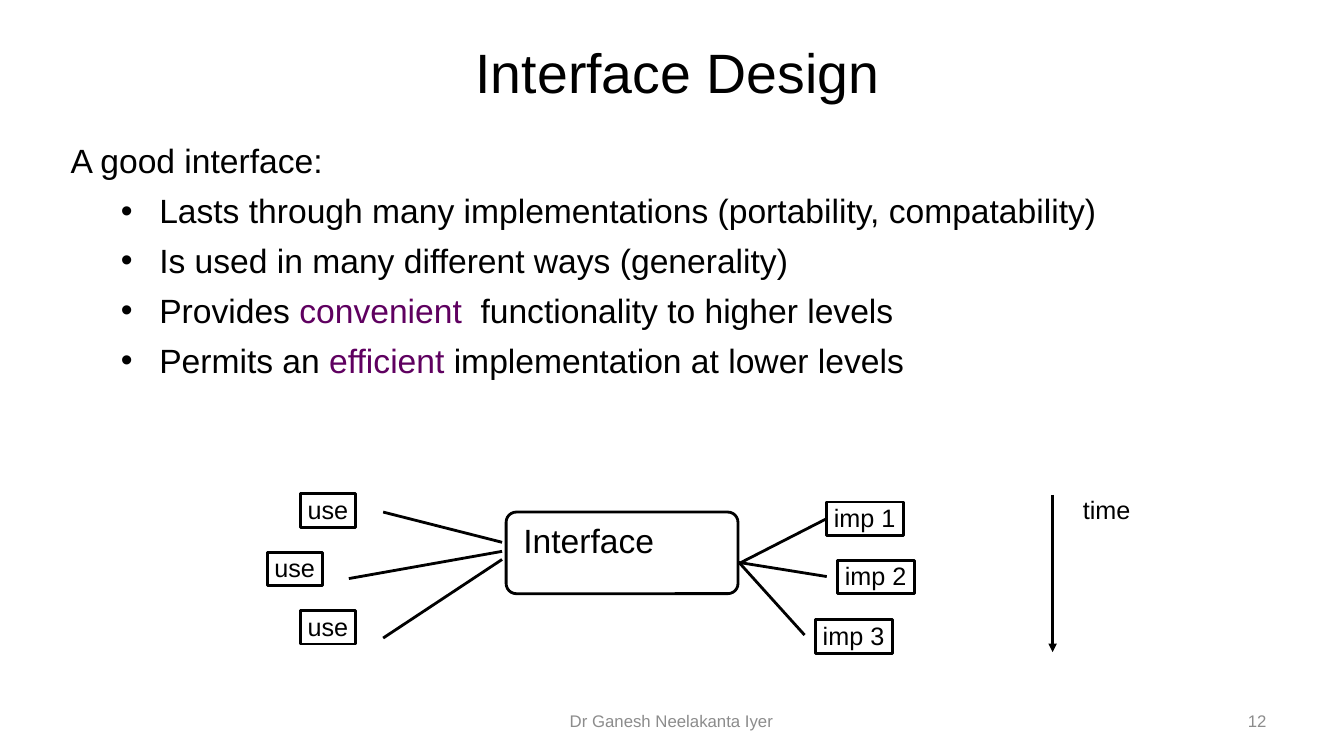
from dataclasses import dataclass
from typing import Optional

from lxml.etree import SubElement
from pptx import Presentation
from pptx.dml.color import RGBColor
from pptx.enum.shapes import MSO_CONNECTOR, MSO_SHAPE
from pptx.enum.text import MSO_ANCHOR, MSO_AUTO_SIZE, PP_ALIGN
from pptx.oxml.ns import qn
from pptx.util import Emu, Pt

PX = 9144
BLACK, PURPLE, GRAY = "000000", "5F0060", "8C8C8C"


@dataclass
class Label:
    text: str
    x: int
    y: int
    w: int
    h: int
    size: float = 18
    spacing: float = 0.92
    color: str = BLACK


@dataclass
class Line:
    x1: int
    y1: int
    x2: int
    y2: int
    target: Optional[str] = None
    arrow: bool = False


@dataclass
class Item:
    runs: list[tuple[str, str]]
    bullet: bool = True


TITLE = Label("Interface Design", 122, 50, 1100, 42, 39.6, 1)
FOOTERS = [
    (Label("12", 955, 695, 311, 40, 12, 1, GRAY), PP_ALIGN.RIGHT),
    (Label("Dr Ganesh Neelakanta Iyer", 455, 695, 422, 40, 12, 1, GRAY), PP_ALIGN.CENTER),
]
ITEMS = [
    Item([("A good interface:", BLACK)], bullet=False),
    Item([("Lasts through many implementations (portability, compatability)", BLACK)]),
    Item([("Is used in many different ways (generality)", BLACK)]),
    Item([("Provides ", BLACK), ("convenient ", PURPLE), (" functionality to higher levels", BLACK)]),
    Item([("Permits an ", BLACK), ("efficient", PURPLE), (" implementation at lower levels", BLACK)]),
]
CAPTIONS = [
    Label("Interface", 512, 518, 145, 41, 24, 0.87),
    Label("time", 1067, 492, 62, 31, 18, 0.85),
]
IMPS = [Label(f"imp {i + 1}", x, 498 + round(58.5 * i), 76, 33) for i, x in enumerate((820, 831, 809))]
USES = [Label("use", x, 490 + 58 * i, 55, 33) for i, x in enumerate((298, 265, 298))]
LINES = [
    Line(735, 558, 820, 513, target="imp 1"),
    Line(733, 558, 820, 572),
    Line(733, 558, 798, 630),
    Line(380, 508, 498, 538),
    Line(346, 574, 498, 547),
    Line(380, 633, 498, 555),
    Line(1044, 491, 1044, 647, arrow=True),
]


def px(n: int) -> Emu:
    return Emu(n * PX)


def rgb(color: str) -> RGBColor:
    return RGBColor.from_string(color)


def add_run(p, text: str, size: float, color: str) -> None:
    r = p.add_run()
    r.text = text
    r.font.name = "Arial"
    r.font.size = Pt(size)
    r.font.color.rgb = rgb(color)


def set_tight(tf) -> None:
    tf.margin_left = tf.margin_right = px(7)
    tf.margin_top = tf.margin_bottom = px(3)
    tf.vertical_anchor = MSO_ANCHOR.TOP


def outline(sp) -> None:
    sp.shadow.inherit = False
    sp.fill.background()
    sp.line.color.rgb = rgb(BLACK)
    sp.line.width = Pt(2)


def add_rect(s, kind: MSO_SHAPE, x: int, y: int, w: int, h: int):
    sp = s.shapes.add_shape(kind, px(x), px(y), px(w), px(h))
    outline(sp)
    return sp


def write(sp, label: Label, align: PP_ALIGN) -> None:
    p = sp.text_frame.paragraphs[0]
    p.alignment = align
    p.line_spacing = label.spacing
    add_run(p, label.text, label.size, label.color)


def add_centered(s, label: Label, align: PP_ALIGN) -> None:
    sp = s.shapes.add_textbox(px(label.x), px(label.y), px(label.w), px(label.h))
    sp.text_frame.word_wrap = True
    sp.text_frame.vertical_anchor = MSO_ANCHOR.MIDDLE
    write(sp, label, align)


def add_label(s, label: Label, boxed: bool):
    if boxed:
        sp = add_rect(s, MSO_SHAPE.RECTANGLE, label.x, label.y, label.w, label.h)
    else:
        sp = s.shapes.add_textbox(px(label.x), px(label.y), px(label.w), px(label.h))
    tf = sp.text_frame
    set_tight(tf)
    tf.word_wrap = False
    tf.auto_size = MSO_AUTO_SIZE.SHAPE_TO_FIT_TEXT
    write(sp, label, PP_ALIGN.LEFT)
    return sp


def add_list(s, items: list[Item]) -> None:
    tf = s.shapes.add_textbox(px(63), px(142), px(1254), px(246)).text_frame
    set_tight(tf)
    tf.word_wrap = True
    for i, item in enumerate(items):
        p = tf.add_paragraph() if i else tf.paragraphs[0]
        pPr = p._p.get_or_add_pPr()
        pPr.set("marL", str(px(88 if item.bullet else 38)))
        pPr.set("indent", str(px(-38)))
        if item.bullet:
            SubElement(pPr, qn("a:buFont")).set("typeface", "Arial")
            SubElement(pPr, qn("a:buChar")).set("char", "•")
            p.level = 1
        p.line_spacing = 0.86
        if i:
            p.space_before = Pt(10.8)
        for text, color in item.runs:
            add_run(p, text, 24, color)


def add_line(s, line: Line, boxes: dict) -> None:
    c = s.shapes.add_connector(
        MSO_CONNECTOR.STRAIGHT, px(line.x1), px(line.y1), px(line.x2), px(line.y2))
    c.line.color.rgb = rgb(BLACK)
    c.line.width = Pt(2)
    if line.arrow:
        SubElement(c.line._get_or_add_ln(), qn("a:tailEnd")).set("type", "triangle")
    SubElement(c._element.spPr, qn("a:effectLst"))
    if line.target:
        c.end_connect(boxes[line.target], 1)


def main() -> None:
    """Build the interface design slide."""
    prs = Presentation()
    prs.slide_width, prs.slide_height = px(1333), px(750)
    s = prs.slides.add_slide(prs.slide_layouts[6])
    add_centered(s, TITLE, PP_ALIGN.CENTER)
    add_list(s, ITEMS)
    frame = add_rect(s, MSO_SHAPE.ROUNDED_RECTANGLE, 502, 508, 230, 81)
    frame.adjustments[0] = 0.125
    for caption in CAPTIONS:
        add_label(s, caption, boxed=False)
    boxes = {label.text: add_label(s, label, boxed=True) for label in IMPS + USES}
    for line in LINES:
        add_line(s, line, boxes)
    for footer, align in FOOTERS:
        add_centered(s, footer, align)
    prs.save("out.pptx")


if __name__ == "__main__":
    main()
